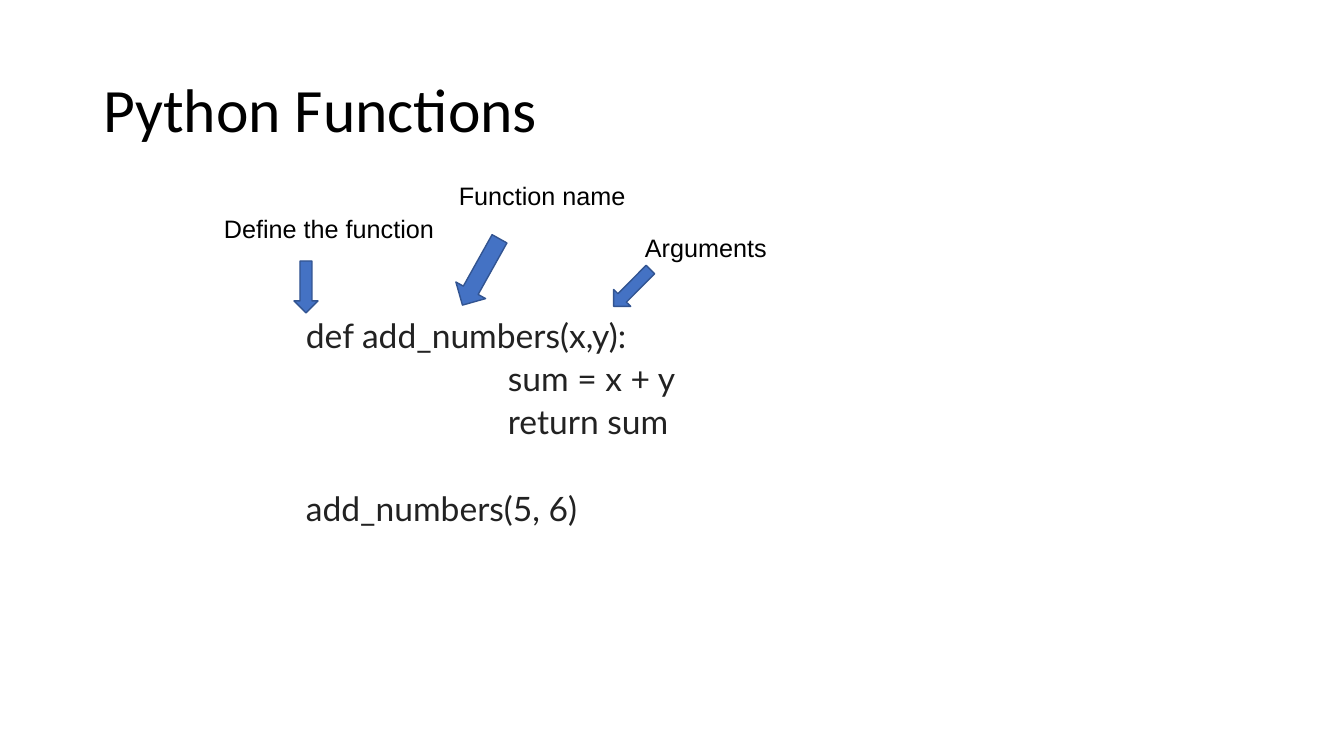
from dataclasses import dataclass

import pptx
import pptx.dml.color
import pptx.enum.shapes
import pptx.enum.text
import pptx.util

TITLE = "Python Functions"
TITLE_FRAME = (93, 40, 1159, 146)
CODE_FRAME = (252, 217, 736, 480)
CODE_TOP_INSET = 102
# text, left indent in px, space before in points
CODE_LINES = [
    ("def add_numbers(x,y):", 44, 0),
    ("sum = x + y", 246, 5),
    ("return sum", 246, 5),
    ("add_numbers(5, 6)", 44, 36),
]
# frame in px, rotation in degrees
ARROWS = [
    ((464, 234, 34, 76), 29.2),
    ((294, 261, 24, 52), 0),
    ((620, 262, 24, 52), 44.9),
]
LABELS = [
    ("Define the function", (214, 208, 247, 40)),
    ("Function name", (449, 175, 247, 40)),
    ("Arguments", (635, 227, 166, 40)),
]


@dataclass(frozen=True)
class Theme:
    ink: str = "000000"
    code_ink: str = "222222"
    arrow_fill: str = "4472C4"
    arrow_line: str = "325491"
    title_font: str = "Calibri"
    code_font: str = "Lato"
    label_font: str = "Arial"
    title_size: int = 44
    code_size: int = 24
    label_size: int = 18


THEME = Theme()


def px(length):
    return pptx.util.Emu(round(length * 914400 / 100.8))


def color(value):
    return pptx.dml.color.RGBColor.from_string(value)


def place(shape, frame):
    shape.left, shape.top, shape.width, shape.height = map(px, frame)


def add_span(para, text, font, size, ink):
    para.alignment = pptx.enum.text.PP_ALIGN.LEFT
    span = para.add_run()
    span.text = text
    span.font.name = font
    span.font.size = pptx.util.Pt(size)
    span.font.color.rgb = color(ink)


def add_title(page):
    title = page.shapes.title
    place(title, TITLE_FRAME)
    title.text_frame.vertical_anchor = pptx.enum.text.MSO_ANCHOR.MIDDLE
    para = title.text_frame.paragraphs[0]
    para.line_spacing = 0.9
    add_span(para, TITLE, THEME.title_font, THEME.title_size, THEME.ink)


def add_code(page):
    box = page.shapes.add_textbox(*map(px, CODE_FRAME)).text_frame
    box.word_wrap = True
    box.margin_top = px(CODE_TOP_INSET)
    for index, (text, indent, space) in enumerate(CODE_LINES):
        para = box.add_paragraph() if index else box.paragraphs[0]
        properties = para._p.get_or_add_pPr()
        properties.set("marL", str(px(indent)))
        properties.set("indent", "0")
        para.line_spacing = 0.9
        if index:
            para.space_before = pptx.util.Pt(space)
        add_span(para, text, THEME.code_font, THEME.code_size, THEME.code_ink)


def add_arrow(page, frame, rotation):
    arrow = page.shapes.add_shape(
        pptx.enum.shapes.MSO_SHAPE.DOWN_ARROW, *map(px, frame))
    arrow.rotation = rotation
    arrow.shadow.inherit = False
    arrow.fill.solid()
    arrow.fill.fore_color.rgb = color(THEME.arrow_fill)
    arrow.line.color.rgb = color(THEME.arrow_line)
    arrow.line.width = pptx.util.Pt(1)


def add_label(page, text, frame):
    box = page.shapes.add_textbox(*map(px, frame)).text_frame
    box.word_wrap = True
    add_span(box.paragraphs[0], text, THEME.label_font, THEME.label_size, THEME.ink)


def main():
    deck = pptx.Presentation()
    deck.slide_width, deck.slide_height = px(1344), px(756)
    page = deck.slides.add_slide(deck.slide_layouts.get_by_name("Title Only"))
    add_title(page)
    add_code(page)
    for frame, rotation in ARROWS:
        add_arrow(page, frame, rotation)
    for text, frame in LABELS:
        add_label(page, text, frame)
    deck.save("out.pptx")


if __name__ == "__main__":
    main()
